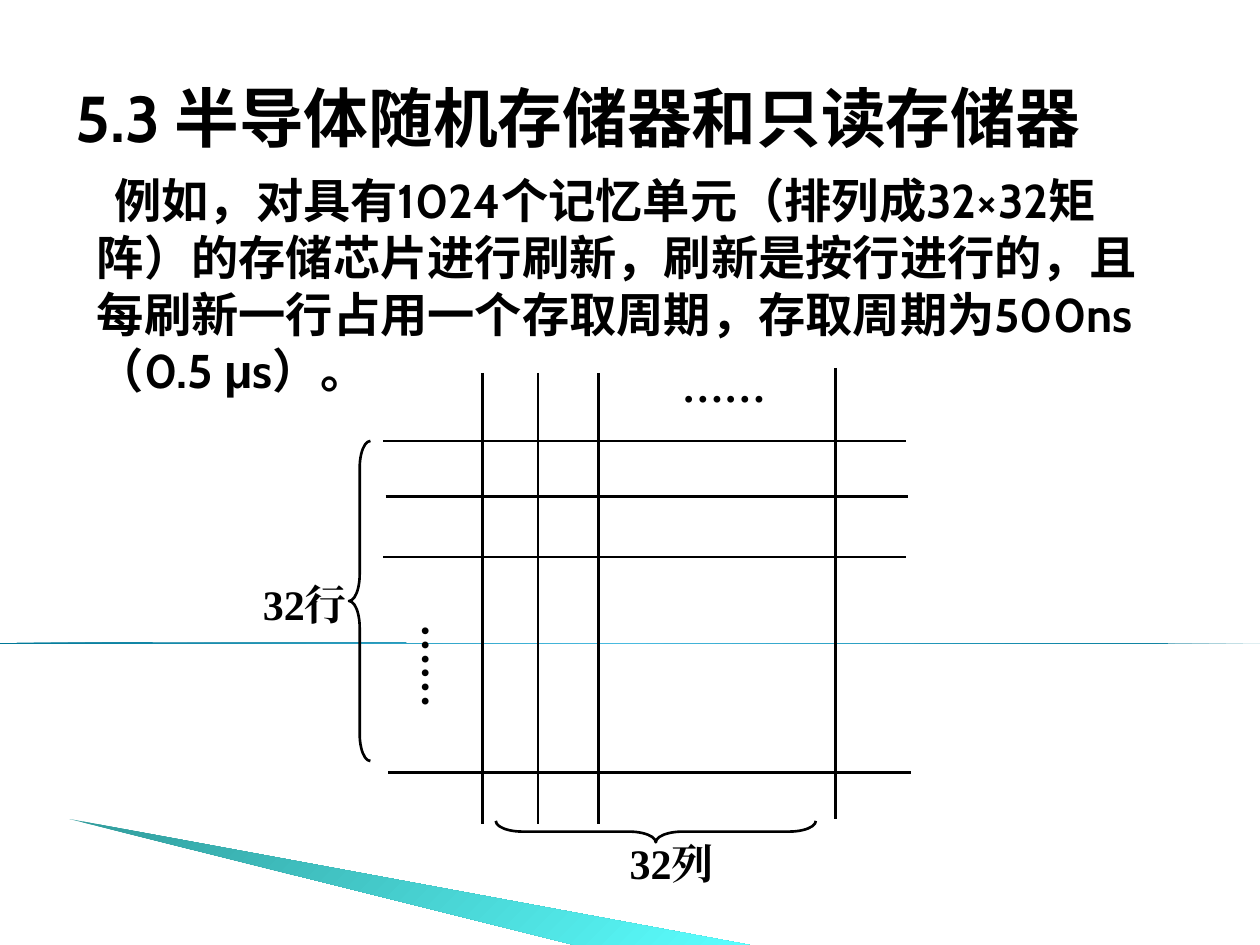
import dataclasses

import lxml.etree
import pptx
import pptx.dml.color
import pptx.enum.shapes
import pptx.enum.text
import pptx.oxml.ns
import pptx.util

EMU_PER_PX = 9144
ROW_LENGTH = 415
COLUMN_LENGTH = 358
ROW_STARTS = ((304, 350), (306, 394), (304, 442), (308, 613))
COLUMN_STARTS = ((383, 296), (427, 296), (475, 296), (663, 292))
BRACES = ((277, 350, 0), (512, 533, 270))
LABELS = (
    ("32行", (192, 454, 100, 50), 0),
    ("32列", (483, 660, 100, 50), 0),
    ("……", (481, 281, 187, 50), 0),
    ("……", (233, 504, 187, 50), 270),
)
BODY_RUNS = (
    ("例如，对具有1024个记忆单元（排列成32×32矩阵）的存储芯片进行刷新，"
     "刷新是按行进行的，且每刷新一行占用一个存取周期，存取周期为500ns（0.5 ", "Cabin"),
    ("μ", "Arial"),
    ("s）。", "Cabin"),
)


@dataclasses.dataclass(frozen=True)
class Theme:
    """Colours, fonts and type sizes of the slide."""

    ink: str = "000000"
    divider: tuple = ("007897", "4ABBE0", "007897")
    wedge: tuple = ("319C9C", "5BFFFF")
    heading_font: str = "Cabin"
    chinese_font: str = "Noto Sans CJK SC"
    label_font: str = "Times New Roman"
    title_size: int = 37
    body_size: int = 27
    label_size: int = 24
    line_width: float = 1.5


THEME = Theme()


def px(length):
    """Turn a length in px into EMU."""
    return pptx.util.Emu(length * EMU_PER_PX)


def color(value):
    """Return the RGB colour for a hex value."""
    return pptx.dml.color.RGBColor.from_string(value)


def style_run(run, size, latin, east_asian):
    """Give a run its size, weight, colour and fonts."""
    run.font.size = pptx.util.Pt(size)
    run.font.bold = True
    run.font.color.rgb = color(THEME.ink)
    run.font.name = latin
    properties = run.font._element
    element = lxml.etree.SubElement(properties, pptx.oxml.ns.qn("a:ea"))
    element.set("typeface", east_asian)


def add_text_box(slide, box):
    """Add a wrapping text box and return its shape."""
    shape = slide.shapes.add_textbox(*map(px, box))
    shape.text_frame.word_wrap = True
    return shape


def add_title(slide, text):
    """Add the vertically centred slide title."""
    text_frame = add_text_box(slide, (50, 30, 900, 125)).text_frame
    text_frame.vertical_anchor = pptx.enum.text.MSO_ANCHOR.MIDDLE
    text_frame.text = text
    run = text_frame.paragraphs[0].runs[0]
    style_run(run, THEME.title_size, THEME.heading_font, THEME.chinese_font)


def add_body(slide, runs):
    """Add the body paragraph with its first-line indent."""
    text_frame = add_text_box(slide, (27, 131, 908, 569)).text_frame
    paragraph = text_frame.paragraphs[0]
    properties = paragraph._p.get_or_add_pPr()
    properties.set("marL", str(px(40)))
    properties.set("indent", str(px(14)))
    for text, font in runs:
        run = paragraph.add_run()
        run.text = text
        style_run(run, THEME.body_size, font, font)


def add_label(slide, text, box, rotation):
    """Add a centred label of the matrix diagram."""
    shape = add_text_box(slide, box)
    shape.rotation = rotation
    shape.text_frame.text = text
    paragraph = shape.text_frame.paragraphs[0]
    paragraph.alignment = pptx.enum.text.PP_ALIGN.CENTER
    style_run(paragraph.runs[0], THEME.label_size, THEME.label_font, THEME.label_font)


def style_line(line):
    """Apply the diagram stroke to a line format."""
    line.color.rgb = color(THEME.ink)
    line.width = pptx.util.Pt(THEME.line_width)


def add_line(slide, left, top, width, height):
    """Add a straight line of the matrix."""
    connector = slide.shapes.add_connector(
        pptx.enum.shapes.MSO_CONNECTOR.STRAIGHT,
        px(left), px(top), px(left + width), px(top + height))
    style_line(connector.line)
    properties = connector._element.spPr
    lxml.etree.SubElement(properties, pptx.oxml.ns.qn("a:effectLst"))


def add_brace(slide, left, top, rotation):
    """Add a curly brace spanning the matrix."""
    shape = slide.shapes.add_shape(
        pptx.enum.shapes.MSO_SHAPE.LEFT_BRACE, px(left), px(top), px(17), px(254))
    shape.adjustments[0] = 1.25
    shape.rotation = rotation
    shape.shadow.inherit = False
    shape.fill.background()
    style_line(shape.line)


def fill_gradient(shape, colors, angle):
    """Fill a shape with evenly spaced gradient colours."""
    shape.shadow.inherit = False
    shape.line.fill.background()
    shape.fill.gradient()
    shape.fill.gradient_angle = angle
    stop_list = shape._element.spPr.find(".//" + pptx.oxml.ns.qn("a:gsLst"))
    for stop in list(stop_list):
        stop_list.remove(stop)
    for index, value in enumerate(colors):
        stop = lxml.etree.SubElement(stop_list, pptx.oxml.ns.qn("a:gs"))
        stop.set("pos", str(100000 * index // (len(colors) - 1)))
        fill = lxml.etree.SubElement(stop, pptx.oxml.ns.qn("a:srgbClr"))
        fill.set("val", value)


def add_decoration(slide):
    """Add the thin divider and the wedge at the bottom."""
    divider = slide.shapes.add_shape(
        pptx.enum.shapes.MSO_SHAPE.RIGHT_TRIANGLE, px(0), px(510), px(1000), px(1))
    fill_gradient(divider, THEME.divider, 310)
    builder = slide.shapes.build_freeform(55, 650, scale=EMU_PER_PX)
    builder.add_line_segments(((595, 750), (456, 750)), close=True)
    fill_gradient(builder.convert_to_shape(), THEME.wedge, 315)


def add_matrix(slide):
    """Add the rows, columns, braces and labels of the matrix."""
    for left, top in ROW_STARTS:
        add_line(slide, left, top, ROW_LENGTH, 0)
    for left, top in COLUMN_STARTS:
        add_line(slide, left, top, 0, COLUMN_LENGTH)
    for left, top, rotation in BRACES:
        add_brace(slide, left, top, rotation)
    for text, box, rotation in LABELS:
        add_label(slide, text, box, rotation)


def main():
    """Build and save the presentation."""
    presentation = pptx.Presentation()
    presentation.slide_width = px(1000)
    presentation.slide_height = px(750)
    slide = presentation.slides.add_slide(presentation.slide_layouts[6])
    add_decoration(slide)
    add_title(slide, "5.3 半导体随机存储器和只读存储器")
    add_body(slide, BODY_RUNS)
    add_matrix(slide)
    presentation.save("out.pptx")


if __name__ == "__main__":
    main()
